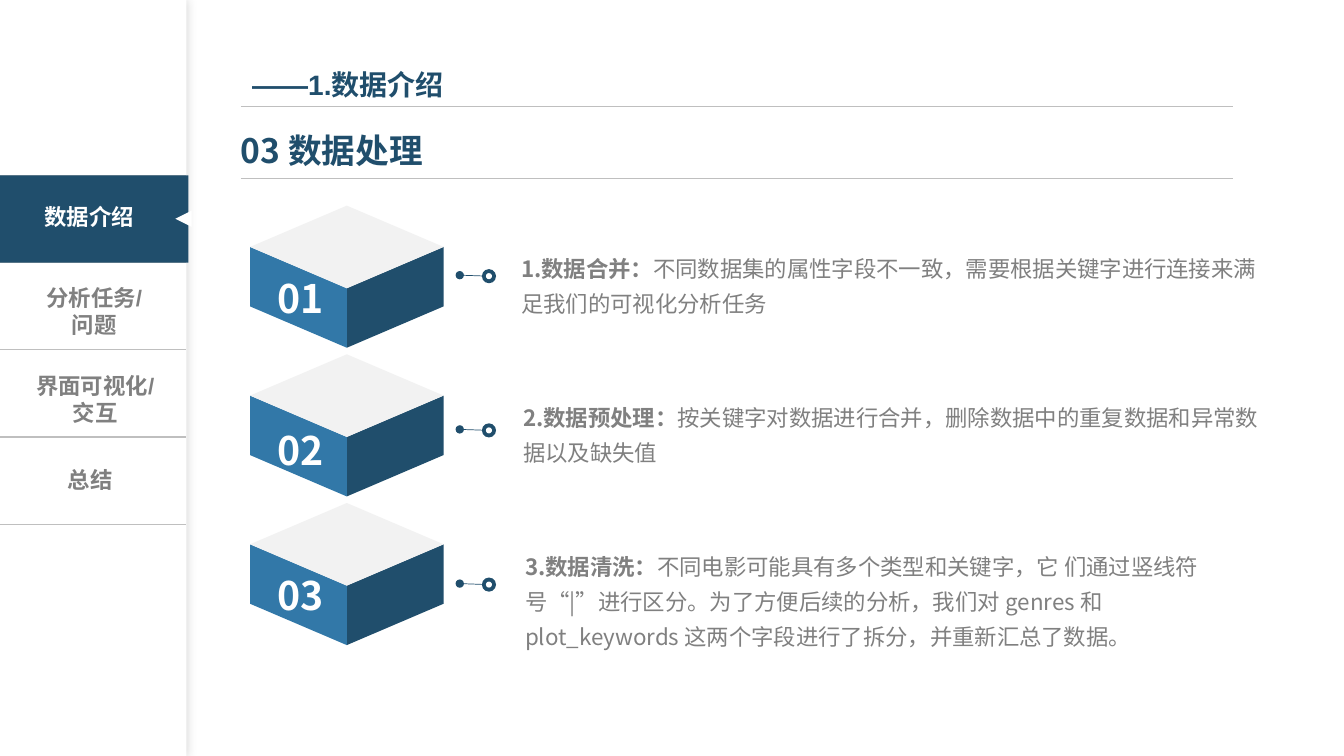
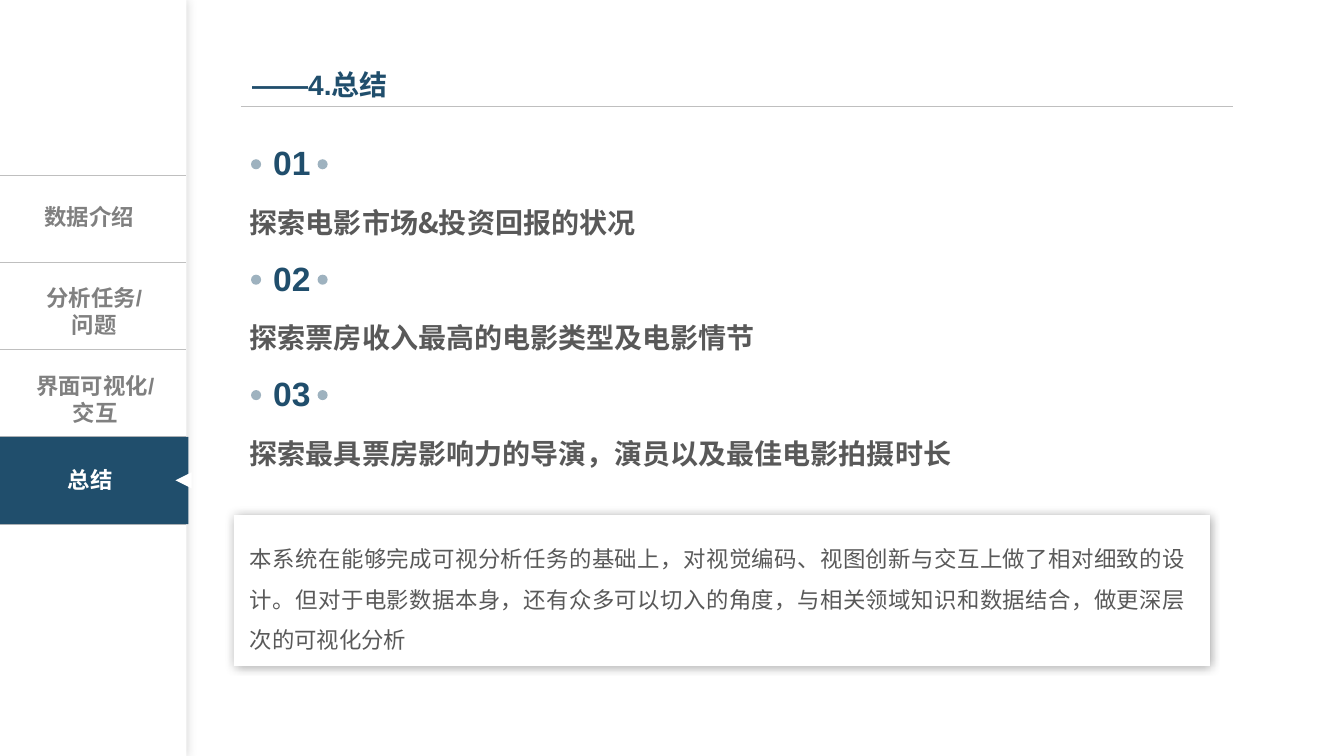
from lxml import etree
from pptx import Presentation
from pptx.dml.color import RGBColor
from pptx.enum.shapes import MSO_CONNECTOR, MSO_SHAPE
from pptx.enum.text import MSO_ANCHOR, MSO_AUTO_SIZE, PP_ALIGN
from pptx.oxml.ns import qn
from pptx.util import Inches, Pt

RECT, OVAL = MSO_SHAPE.RECTANGLE, MSO_SHAPE.OVAL
WEDGE = MSO_SHAPE.ISOSCELES_TRIANGLE
LINE = MSO_CONNECTOR.STRAIGHT
LEFT, MID, JUST = PP_ALIGN.LEFT, PP_ALIGN.CENTER, PP_ALIGN.JUSTIFY
TOP, CENTER = MSO_ANCHOR.TOP, MSO_ANCHOR.MIDDLE
FIXED = MSO_AUTO_SIZE.NONE

SANS, LATIN = "Noto Sans CJK SC", "Arial"
HEX = {
    "navy": "204E6C", "blue": "3278A8", "pale": "F2F2F2", "white": "FFFFFF",
    "rule": "BFBFBF", "gray": "808080", "dark": "595959", "black": "000000",
}

NAV_TOP, NAV_ROW, NAV_WIDE = 1.74, 0.865, 1.85
NAV = [
    ("数据介绍", 0.15, 1.97),
    ("分析任务/\n问题", 0.2, 2.77),
    ("界面可视化/\n交互", 0.21, 3.64),
    ("总结", 0.16, 4.58),
]
STEPS = [
    ("01", 2.67, "1.数据合并：",
     "不同数据集的属性字段不一致，需要根据关键字进行连接来满足我们的可视化分析任务"),
    ("02", 4.18, "2.数据预处理：",
     "按关键字对数据进行合并，删除数据中的重复数据和异常数据以及缺失值"),
    ("03", 5.62, "3.数据清洗：",
     "不同电影可能具有多个类型和关键字，它 们通过竖线符号“|”进行区分。"
     "为了方便后续的分析，我们对 genres 和 plot_keywords "
     "这两个字段进行了拆分，并重新汇总了数据。"),
]
GOALS = [
    "探索电影市场&投资回报的状况",
    "探索票房收入最高的电影类型及电影情节",
    "探索最具票房影响力的导演，演员以及最佳电影拍摄时长",
]
CLOSING = ("本系统在能够完成可视分析任务的基础上，对视觉编码、视图创新与交互上做了相对细致的设计。"
           "但对于电影数据本身，还有众多可以切入的角度，与相关领域知识和数据结合，做更深层次的可视化分析")


def rgb(name):
    return RGBColor.from_string(HEX[name])


def sub(parent, tag, **attrs):
    return etree.SubElement(parent, qn(tag), attrs)


def write(frame, text, lead="", size=16, font=SANS, color="gray", bold=False,
          align=LEFT, space=1, side=0.1, edge=0.05, anchor=TOP):
    """Fill a text frame; lead is a bold opening of the first line."""
    frame.word_wrap, frame.auto_size = True, FIXED
    frame.vertical_anchor = anchor
    frame.margin_left = frame.margin_right = Inches(side)
    frame.margin_top = frame.margin_bottom = Inches(edge)
    for i, line in enumerate(text.split("\n")):
        para = frame.add_paragraph() if i else frame.paragraphs[0]
        para.alignment, para.line_spacing = align, space
        parts = [(line, bold)]
        if lead and i == 0:
            parts.insert(0, (lead, True))
        for part, heavy in parts:
            run = para.add_run()
            run.text = part
            run.font.name, run.font.size = font, Pt(size)
            run.font.bold = heavy
            run.font.color.rgb = rgb(color)
            sub(run._r.get_or_add_rPr(), "a:ea", typeface=SANS)


def label(slide, text, x, y, w, h, **style):
    box = slide.shapes.add_textbox(Inches(x), Inches(y), Inches(w), Inches(h))
    write(box.text_frame, text, **style)


def paint(shape, color):
    shape.shadow.inherit = False
    shape.fill.solid()
    shape.fill.fore_color.rgb = rgb(color)
    shape.line.fill.background()


def block(slide, kind, x, y, w, h, color, alpha=None):
    shape = slide.shapes.add_shape(kind, Inches(x), Inches(y), Inches(w), Inches(h))
    paint(shape, color)
    if alpha:
        tint = shape._element.spPr.find(".//" + qn("a:srgbClr"))
        sub(tint, "a:alpha", val=str(alpha * 1000))
    return shape


def glow(shape, blur, alpha):
    """Add a soft black shadow with no offset."""
    effects = shape._element.spPr.find(qn("a:effectLst"))
    shade = sub(effects, "a:outerShdw", blurRad=str(Pt(blur)), dist="0",
                dir="0", algn="ctr", rotWithShape="0")
    sub(sub(shade, "a:srgbClr", val=HEX["black"]), "a:alpha", val=str(alpha * 1000))


def rule(slide, x1, y1, x2, y2, color="rule"):
    line = slide.shapes.add_connector(LINE, Inches(x1), Inches(y1), Inches(x2), Inches(y2))
    line.line.color.rgb = rgb(color)
    line.line.width = Pt(0.5)
    sub(line._element.spPr, "a:effectLst")
    return line


def face(slide, points, color):
    spots = [(Inches(x), Inches(y)) for x, y in points]
    path = slide.shapes.build_freeform(*spots[0])
    path.add_line_segments(spots[1:], close=True)
    paint(path.convert_to_shape(), color)


def cube(slide, x, y):
    """Draw a box whose top corner is at height y and left corner at x."""
    half, rise, deep = 0.96, 0.41, 0.59
    mid, right, side, front = x + half, x + 2 * half, y + rise, y + 2 * rise
    for edge, color in ((right, "navy"), (x, "blue")):
        face(slide, [(edge, side), (mid, front), (mid, front + deep),
                     (edge, side + deep)], color)
    face(slide, [(mid, y), (x, side), (mid, front), (right, side)], "pale")


def pin(slide, y):
    line = rule(slide, 4.85, y, 4.56, y - 0.01, "navy")
    sub(line.line._get_or_add_ln(), "a:tailEnd", type="oval")
    for size, color in ((0.14, "navy"), (0.06, "white")):
        block(slide, OVAL, 4.85 - size / 2, y - size / 2, size, size, color)


def grid(slide):
    """Draw the ruled, empty table behind the side menu."""
    table = slide.shapes.add_table(
        len(NAV), 1, Inches(-0.01), Inches(NAV_TOP),
        Inches(NAV_WIDE), Inches(NAV_ROW * len(NAV))).table
    table.first_row = table.horz_banding = False
    for row in table.rows:
        cell = row.cells[0]
        props = cell._tc.get_or_add_tcPr()
        for tag in ("a:lnL", "a:lnR"):
            sub(sub(props, tag), "a:noFill")
        for tag in ("a:lnT", "a:lnB"):
            border = sub(props, tag, w=str(Pt(1)))
            sub(sub(border, "a:solidFill"), "a:srgbClr", val=HEX["rule"])
        cell.fill.background()


def menu(slide, active):
    glow(block(slide, RECT, 0, 0, NAV_WIDE, 7.5, "white"), 8, 17)
    grid(slide)
    top = NAV_TOP + active * NAV_ROW
    block(slide, RECT, 0, top, 1.87, NAV_ROW, "navy")
    block(slide, WEDGE, 1.74, top + 0.35, 0.16, 0.16, "white").rotation = 270
    for i, (text, x, y) in enumerate(NAV):
        label(slide, text, x, y, 1.47, 0.64 if "\n" in text else 0.38,
              font=LATIN, bold=True, align=MID, side=0,
              color="white" if i == active else "gray")


def start(deck, title, active):
    """Add a slide with its menu, title and title rule."""
    slide = deck.slides.add_slide(deck.slide_layouts[5])
    menu(slide, active)
    head = slide.shapes.title
    head.left, head.top = Inches(2.5), Inches(0.62)
    head.width, head.height = Inches(9.73), Inches(0.44)
    write(head.text_frame, title, size=20, font=LATIN, color="navy",
          bold=True, side=0, anchor=CENTER)
    rule(slide, 2.39, 1.06, 12.23, 1.06)
    return slide


def data(deck):
    slide = start(deck, "——1.数据介绍", 0)
    label(slide, "03 数据处理", 2.39, 1.09, 10.42, 0.53, size=24, color="navy",
          bold=True, space=1.5, side=0, edge=0)
    rule(slide, 2.39, 1.77, 12.23, 1.77)
    for i in reversed(range(len(STEPS))):
        cube(slide, 2.48, 2.04 + 1.475 * i)
    for i, (num, y, lead, text) in enumerate(STEPS):
        label(slide, num, 2.65, y, 0.79, 0.57, size=28, color="white", bold=True)
        pin(slide, 2.74 + 1.53 * i)
        label(slide, text, 5.07 + 0.02 * i, 2.4 + 1.48 * i,
              7.42 if i == 2 else 7.62, 1.12 if i == 2 else 0.77,
              lead=lead, space=1.3)


def summary(deck):
    slide = start(deck, "——4.总结", 3)
    for i, goal in enumerate(GOALS):
        y = 1.36 + 1.145 * i
        for x in (2.49, 3.15):
            block(slide, OVAL, x, y + 0.22, 0.1, 0.1, "navy", alpha=43)
        label(slide, f"{i + 1:02}", 2.45, y, 0.89, 0.5, size=24, font=LATIN,
              color="navy", bold=True, align=MID)
        label(slide, goal, 2.38, y + 0.46, 10.54, 0.55, size=20, color="dark",
              bold=True, space=1.5)
    glow(block(slide, RECT, 2.32, 5.11, 9.68, 1.5, "white"), 7, 40)
    label(slide, CLOSING, 2.38, 5.23, 9.49, 1.27, color="dark", align=JUST, space=1.5)


def main():
    deck = Presentation()
    deck.slide_width, deck.slide_height = Inches(13.33), Inches(7.5)
    data(deck)
    summary(deck)
    deck.save("out.pptx")


if __name__ == "__main__":
    main()
